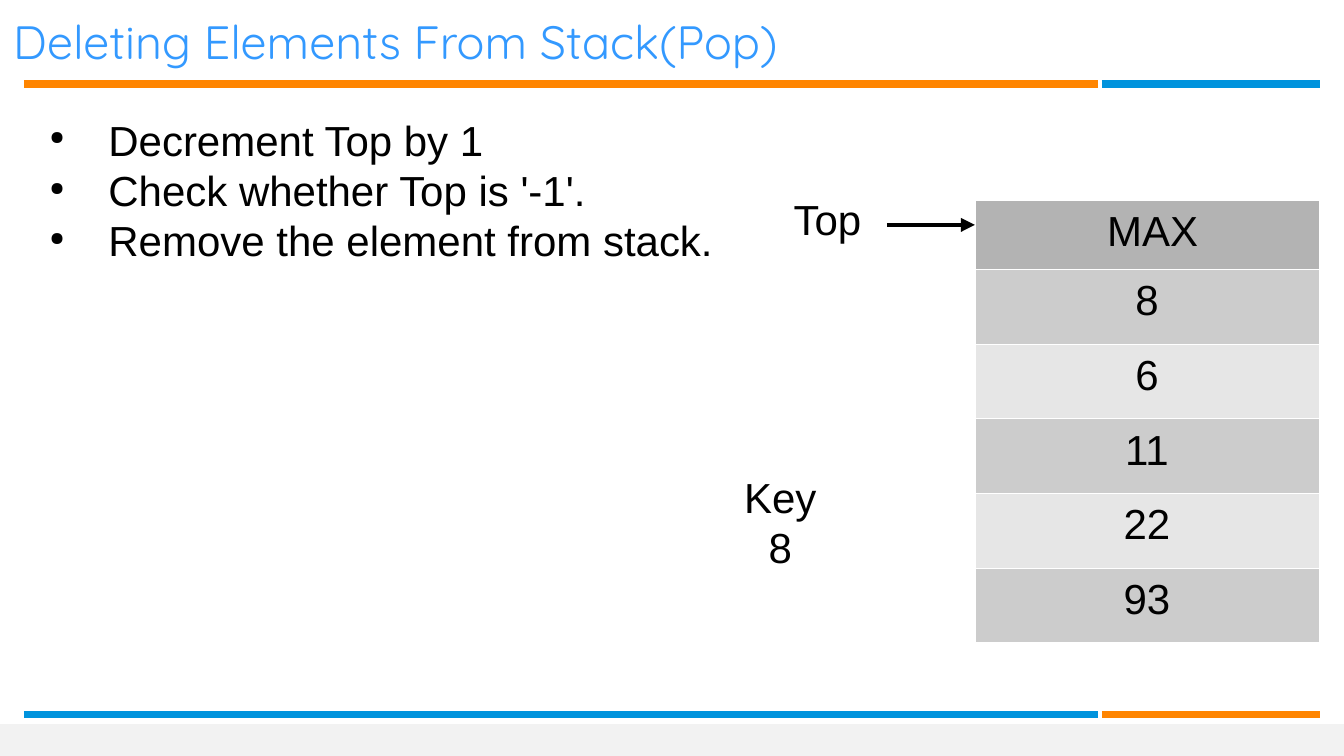
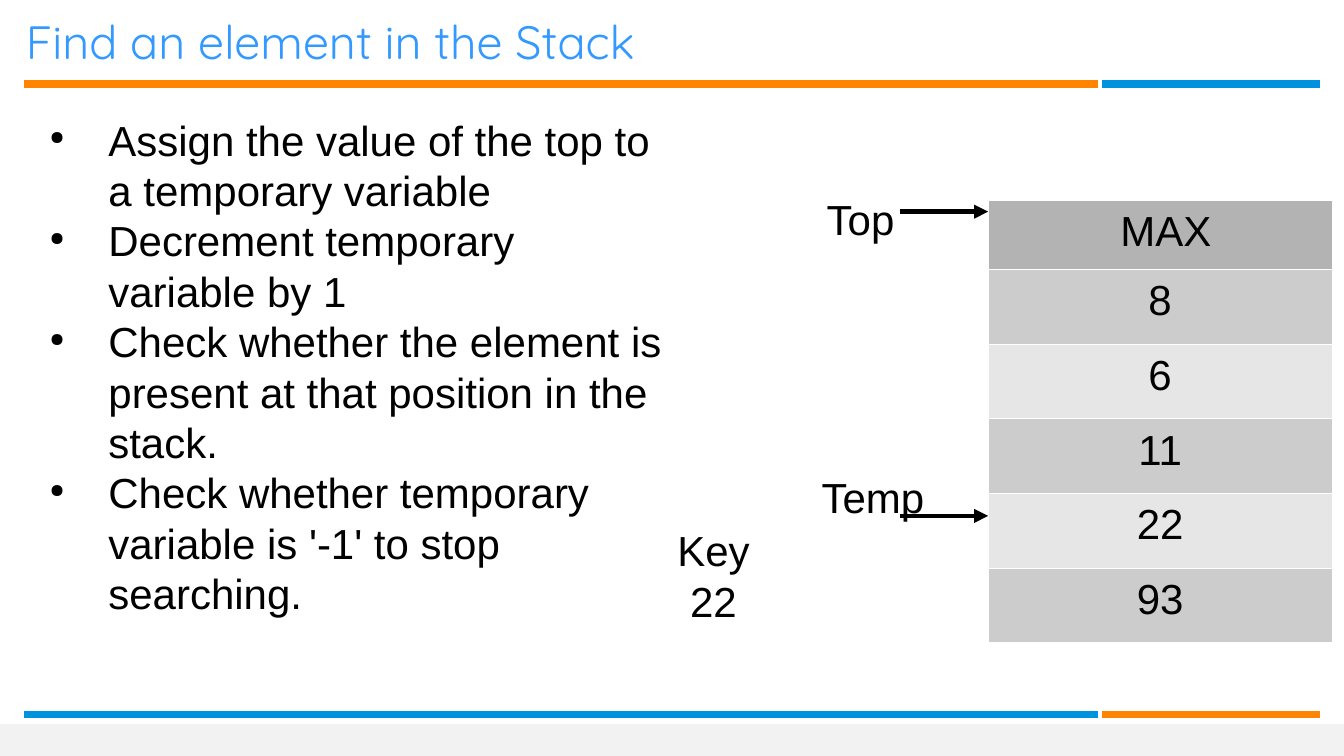
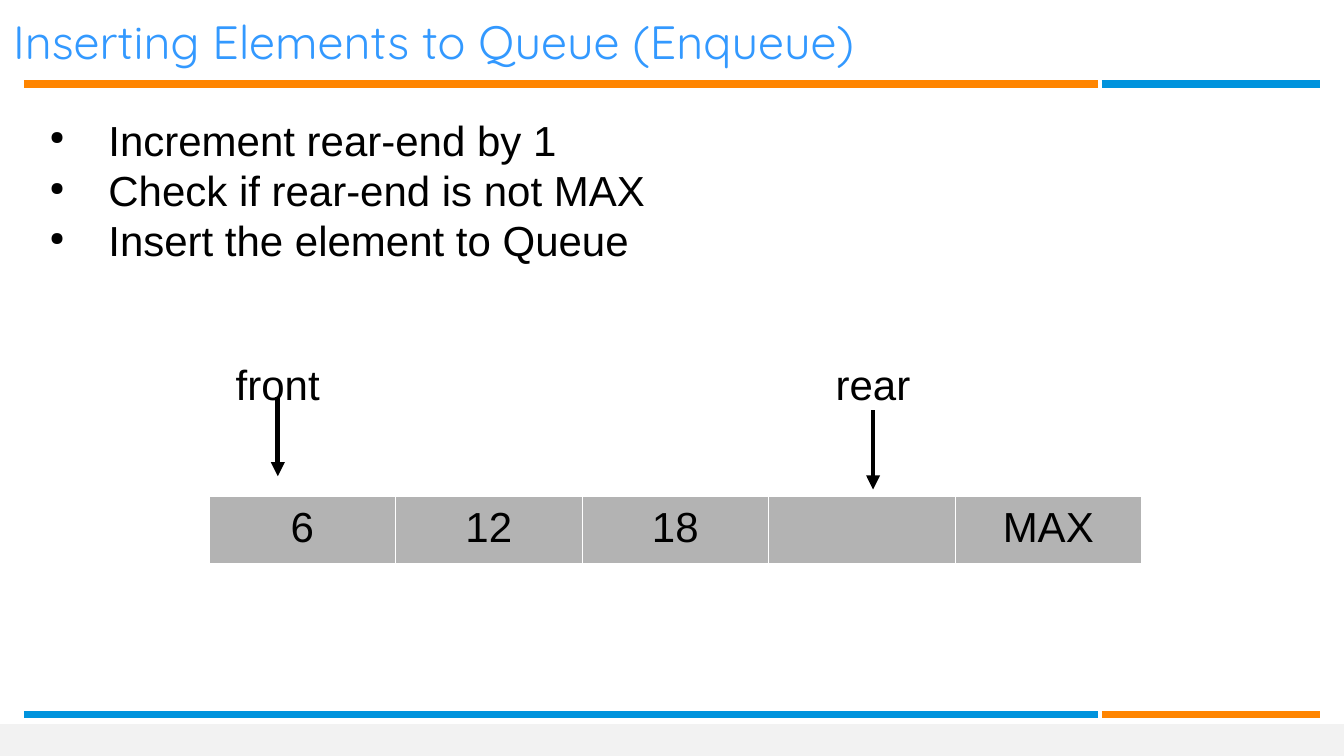
import pptx
import pptx.dml.color
import pptx.enum.shapes
import pptx.enum.text
import pptx.oxml
import pptx.oxml.ns
import pptx.util
from pptx.util import Cm

ORANGE, BLUE, TITLE_BLUE = "FF8500", "0093DD", "3399FF"
BLACK, WHITE, FOOTER_GREY = "000000", "FFFFFF", "F2F2F2"
HEAD_GREY, DARK_GREY, LIGHT_GREY = "B3B3B3", "CCCCCC", "E6E6E6"
BODY_FONT, TITLE_FONT = "Arial", "Quicksand"
LINE_PITCH = 21.6
STACK = [" MAX", "8", "6", "11", "22", "93"]
QUEUE = ["6", "12", "18", "", "MAX"]
CENTER = pptx.enum.text.PP_ALIGN.CENTER
MIDDLE = pptx.enum.text.MSO_ANCHOR.MIDDLE


def color(hex_code):
    return pptx.dml.color.RGBColor.from_string(hex_code)


def add_xml(parent, tag, content="", **attributes):
    """Append one DrawingML element to parent."""
    pairs = " ".join(f'{key}="{value}"' for key, value in attributes.items())
    namespace = pptx.oxml.ns.nsdecls("a")
    parent.append(pptx.oxml.parse_xml(
        f"<a:{tag} {namespace} {pairs}>{content}</a:{tag}>"))


def style_runs(paragraph, size=18, font=BODY_FONT, ink=BLACK):
    for run in paragraph.runs:
        run.font.size = pptx.util.Pt(size)
        run.font.name = font
        run.font.color.rgb = color(ink)


def add_line(slide, start, end, ink, width, arrow=False):
    line = slide.shapes.add_connector(
        pptx.enum.shapes.MSO_CONNECTOR.STRAIGHT,
        *(Cm(length) for length in (*start, *end)))
    line.line.color.rgb = color(ink)
    line.line.width = pptx.util.Pt(width)
    if arrow:
        add_xml(line.line._get_or_add_ln(), "tailEnd", type="triangle")
    add_xml(line._element.spPr, "effectLst")


def add_arrow(slide, start, end):
    add_line(slide, start, end, BLACK, 0, arrow=True)


def add_block(slide, left, top, width, height, fill):
    block = slide.shapes.add_shape(
        pptx.enum.shapes.MSO_SHAPE.RECTANGLE,
        Cm(left), Cm(top), Cm(width), Cm(height))
    block.shadow.inherit = False
    block.fill.solid()
    block.fill.fore_color.rgb = color(fill)
    block.line.fill.background()
    return block


def add_text_frame(slide, left, top, width, height, text):
    frame = slide.shapes.add_textbox(
        Cm(left), Cm(top), Cm(width), Cm(height)).text_frame
    frame.word_wrap = True
    frame.text = text
    return frame


def add_frame(slide, title):
    """Draw the footer band, the two-colour rules and the title."""
    add_block(slide, 0, 10.95, 20.32, 0.48, FOOTER_GREY)
    for y, long_ink, short_ink in ((1.27, ORANGE, BLUE), (10.8, BLUE, ORANGE)):
        add_line(slide, (0.36, y), (16.6, y), long_ink, 3)
        add_line(slide, (16.66, y), (19.96, y), short_ink, 3)
    heading = add_text_frame(slide, 0.2, 0.13, 18.2, 0.97, title)
    heading.margin_left = heading.margin_right = 0
    heading.margin_top = heading.margin_bottom = 0
    heading.vertical_anchor = MIDDLE
    style_runs(heading.paragraphs[0], 20, TITLE_FONT, TITLE_BLUE)


def add_steps(slide, width, height, steps):
    frame = add_text_frame(slide, 0.2, 1.6, width, height, "\n".join(steps))
    for step in frame.paragraphs:
        step.line_spacing = pptx.util.Pt(LINE_PITCH)
        properties = step._p.get_or_add_pPr()
        properties.set("marL", str(Cm(1.19)))
        properties.set("indent", str(Cm(-0.89)))
        add_xml(properties, "buClr", f'<a:srgbClr val="{BLACK}"/>')
        add_xml(properties, "buSzPct", val=45000)
        add_xml(properties, "buChar", char="●")
        style_runs(step)


def add_label(slide, left, top, text):
    label = add_text_frame(slide, left, top, 2.4, 1.2, text).paragraphs[0]
    label.alignment = CENTER
    label.line_spacing = pptx.util.Pt(LINE_PITCH)
    style_runs(label)


def add_key(slide, left, top, value):
    frame = add_block(slide, left, top, 3, 1.4, WHITE).text_frame
    frame.word_wrap = False
    frame.vertical_anchor = MIDDLE
    frame.text = f" Key\n {value}"
    for paragraph in frame.paragraphs:
        paragraph.alignment = CENTER
        paragraph.line_spacing = pptx.util.Pt(LINE_PITCH)
        style_runs(paragraph)


def style_cell(cell, text, fill):
    cell.text = text
    cell.text_frame.paragraphs[0].alignment = CENTER
    style_runs(cell.text_frame.paragraphs[0])
    for side in ("lnL", "lnR", "lnT", "lnB"):
        add_xml(cell._tc.get_or_add_tcPr(), side,
                f'<a:solidFill><a:srgbClr val="{WHITE}"/></a:solidFill>', w=762)
    cell.fill.solid()
    cell.fill.fore_color.rgb = color(fill)


def add_grid(slide, left, top, column_widths, row_heights):
    grid = slide.shapes.add_table(
        len(row_heights), len(column_widths), Cm(left), Cm(top),
        Cm(sum(column_widths)), Cm(sum(row_heights))).table
    grid.first_row = grid.horz_banding = False
    for column, width in zip(grid.columns, column_widths):
        column.width = Cm(width)
    for row, height in zip(grid.rows, row_heights):
        row.height = Cm(height)
    return grid


def add_stack(slide, left):
    heights = [1.04] + [1.13] * (len(STACK) - 1)
    stack = add_grid(slide, left, 3.03, [5.2], heights)
    for level, value in enumerate(STACK):
        fill = DARK_GREY if level % 2 else LIGHT_GREY
        style_cell(stack.cell(level, 0), value, fill if level else HEAD_GREY)


def add_queue(slide):
    queue = add_grid(slide, 3.16, 7.5, [2.82] * len(QUEUE), [0.95])
    for position, value in enumerate(QUEUE):
        style_cell(queue.cell(0, position), value, HEAD_GREY)


def build_pop(slide):
    add_frame(slide, "Deleting Elements From Stack(Pop)")
    add_stack(slide, 14.74)
    add_steps(slide, 11, 3.4, [
        "Decrement Top by 1",
        "Check whether Top is '-1'.",
        "Remove the element from stack."])
    add_arrow(slide, (13.41, 3.4), (14.74, 3.4))
    add_label(slide, 11.4, 2.8, "Top ")
    add_key(slide, 10.21, 7.19, 8)


def build_find(slide):
    add_frame(slide, " Find an element in the Stack")
    add_stack(slide, 14.94)
    add_steps(slide, 10.2, 7.37, [
        "Assign the value of the top to a temporary variable",
        "Decrement temporary variable by 1",
        "Check whether the element is present at that position in the stack.",
        "Check whether temporary variable is '-1' to stop searching."])
    add_label(slide, 11.9, 2.8, "Top ")
    add_label(slide, 12, 7, "Temp")
    for y in (3.2, 7.8):
        add_arrow(slide, (13.6, y), (14.94, y))
    add_key(slide, 9.2, 8, 22)


def build_enqueue(slide):
    add_frame(slide, "Inserting Elements to Queue (Enqueue)")
    add_steps(slide, 13.2, 3.4, [
        "Increment rear-end by 1",
        "Check if rear-end is not MAX",
        "Insert the element to Queue"])
    add_queue(slide)
    for text, x, label_top, arrow_top in (
            ("front", 4.2, 5.29, 6), ("rear", 13.2, 5.3, 6.2)):
        add_label(slide, x - 1.2, label_top, text)
        add_arrow(slide, (x, arrow_top), (x, arrow_top + 1.2))


def main():
    deck = pptx.Presentation()
    deck.slide_width, deck.slide_height = Cm(20.32), Cm(11.43)
    for build in (build_pop, build_find, build_enqueue):
        build(deck.slides.add_slide(deck.slide_layouts[6]))
    deck.save("out.pptx")


if __name__ == "__main__":
    main()
